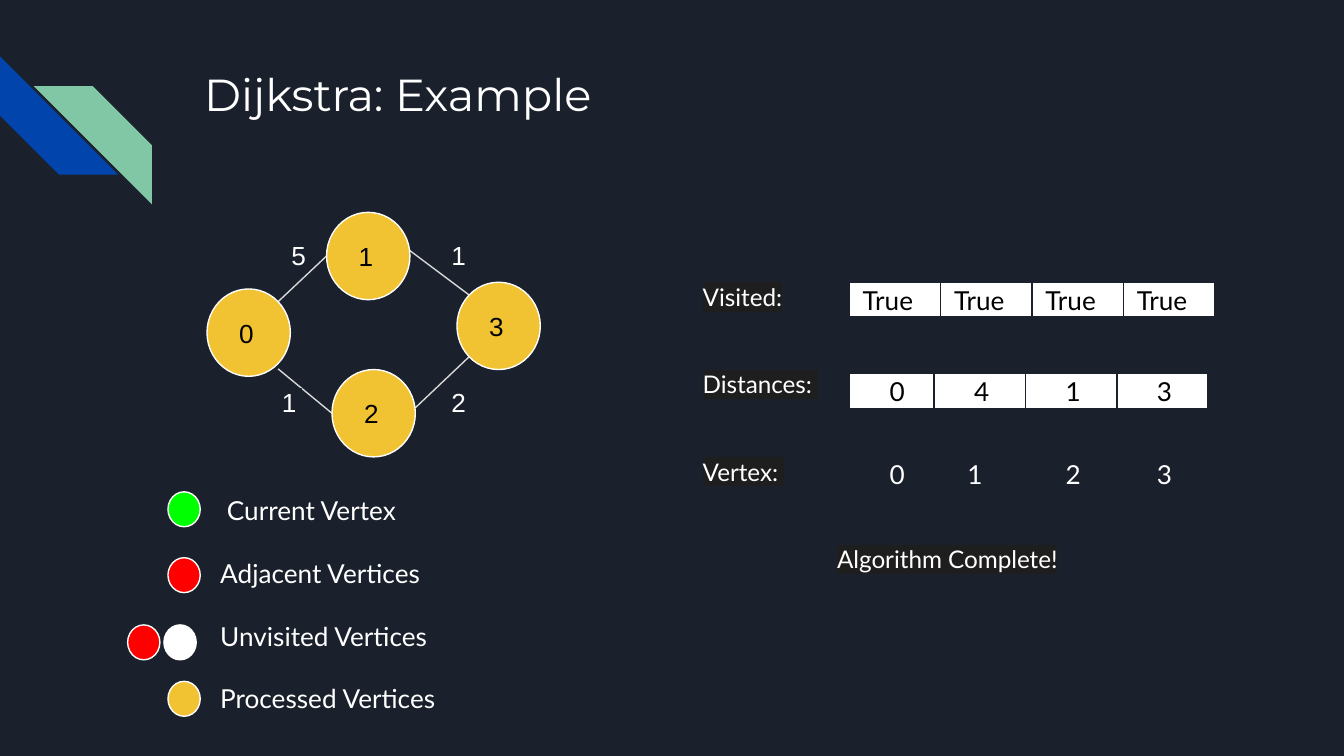
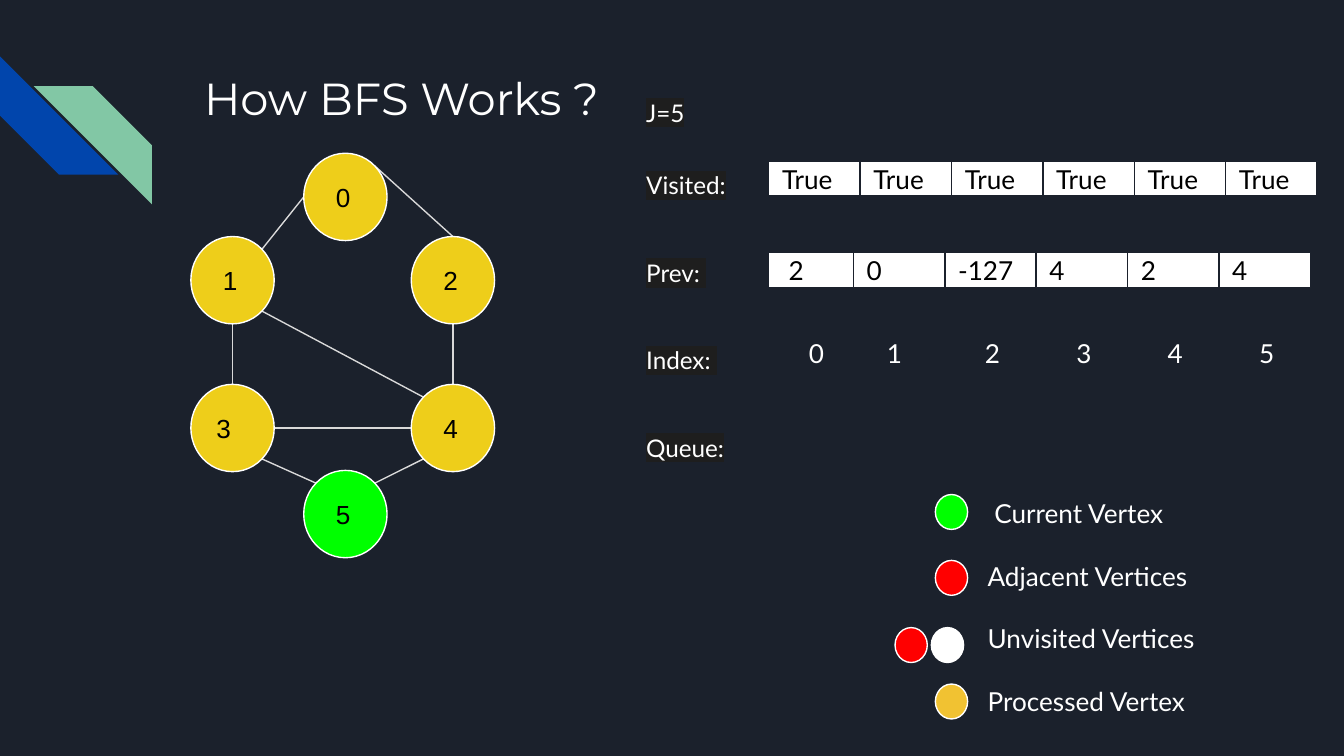
from dataclasses import dataclass

from lxml import etree
from pptx import Presentation
from pptx.dml.color import RGBColor
from pptx.enum.shapes import MSO_CONNECTOR, MSO_SHAPE
from pptx.enum.text import MSO_ANCHOR, PP_ALIGN
from pptx.oxml.ns import qn
from pptx.util import Emu, Pt

OVAL, RECT, STRIPE = MSO_SHAPE.OVAL, MSO_SHAPE.RECTANGLE, MSO_SHAPE.DIAGONAL_STRIPE
STRAIGHT = MSO_CONNECTOR.STRAIGHT
TOP, MIDDLE, LEFT = MSO_ANCHOR.TOP, MSO_ANCHOR.MIDDLE, PP_ALIGN.LEFT

NAVY = RGBColor(0x1B, 0x21, 0x2C)
BLUE = RGBColor(0x01, 0x45, 0xAC)
MINT = RGBColor(0x82, 0xC7, 0xA5)
WHITE = RGBColor(0xFF, 0xFF, 0xFF)
BLACK = RGBColor(0, 0, 0)
GOLD = RGBColor(0xF1, 0xC2, 0x32)
YELLOW = RGBColor(0xEE, 0xCE, 0x1A)
GREEN = RGBColor(0, 0xFF, 0)
RED = RGBColor(0xFF, 0, 0)
GREY = RGBColor(0xD9, 0xD9, 0xD9)
CHARCOAL = RGBColor(0x1E, 0x1E, 0x1E)

EMU_PER_PX = 9144
INSET = 10
LINE_WIDTH = Pt(0.75)
NODE_W, NODE_H = 62, 65
DOT_W, DOT_H = 24, 26
CELL_W, CELL_H = 68, 26
DIAGONAL = 0.5 ** 0.5
SITES = {
    "T": (0, -1), "B": (0, 1), "L": (-1, 0), "R": (1, 0),
    "TL": (-DIAGONAL, -DIAGONAL), "TR": (DIAGONAL, -DIAGONAL),
    "BL": (-DIAGONAL, DIAGONAL), "BR": (DIAGONAL, DIAGONAL),
}
LEGEND_DOTS = ((-24, 8, GREEN), (-24, 57, RED), (-54, 107, RED),
               (-27, 107, WHITE), (-24, 149, GOLD))


@dataclass(frozen=True)
class Node:
    x: int
    y: int
    fill: RGBColor
    indent: int = 5


@dataclass(frozen=True)
class Edge:
    start: int
    start_site: str
    end: int
    end_site: str
    start_dy: int = 0


@dataclass(frozen=True)
class Weight:
    text: str
    x: int
    y: int
    w: int = 24


@dataclass(frozen=True)
class Row:
    y: int
    values: tuple[str, ...]
    indents: tuple[int, ...]
    first_step: int = 63
    fill: RGBColor = WHITE
    color: RGBColor = BLACK


@dataclass(frozen=True)
class Label:
    text: str
    gap: float = 23.4
    indent: int = 0


def px(value: float) -> Emu:
    return Emu(round(value * EMU_PER_PX))


def write(tf, text: str, *, font: str = "Lato", size: float = 14,
          color: RGBColor = WHITE, indent: int = 0, gap: float = 0,
          spacing: float = 1.0, highlight: RGBColor | None = None,
          new: bool = False) -> None:
    p = tf.add_paragraph() if new else tf.paragraphs[0]
    p.alignment = LEFT
    p.line_spacing = spacing
    if gap:
        p.space_before = Pt(gap)
    if indent:
        p._p.get_or_add_pPr().set("marL", str(px(indent)))
    r = p.add_run()
    r.text = text
    r.font.name, r.font.size = font, Pt(size)
    r.font.color.rgb = color
    if highlight is not None:
        mark = etree.Element(qn("a:highlight"))
        etree.SubElement(mark, qn("a:srgbClr")).set("val", str(highlight))
        r._r.rPr.find(qn("a:solidFill")).addnext(mark)


def set_frame(tf, anchor: MSO_ANCHOR, top: int = INSET) -> None:
    tf.word_wrap = True
    tf.vertical_anchor = anchor
    tf.margin_left = tf.margin_right = tf.margin_bottom = px(INSET)
    tf.margin_top = px(top)


def add_box(s, x: int, y: int, w: int, h: int, top: int = INSET):
    tf = s.shapes.add_textbox(px(x), px(y), px(w), px(h)).text_frame
    set_frame(tf, TOP, top)
    return tf


def add_shape(s, kind: MSO_SHAPE, x: int, y: int, w: int, h: int,
              fill: RGBColor | None, line: RGBColor | None = None):
    sp = s.shapes.add_shape(kind, px(x), px(y), px(w), px(h))
    sp.shadow.inherit = False
    if fill is None:
        sp.fill.background()
    else:
        sp.fill.solid()
        sp.fill.fore_color.rgb = fill
    if line is None:
        sp.line.fill.background()
    else:
        sp.line.color.rgb = line
        sp.line.width = LINE_WIDTH
    set_frame(sp.text_frame, MIDDLE)
    return sp


def add_slide(prs, title: str, title_y: int):
    s = prs.slides.add_slide(prs.slide_layouts[6])
    s.background.fill.solid()
    s.background.fill.fore_color.rgb = NAVY
    add_shape(s, STRIPE, 0, 42, 88, 88, BLUE).rotation = 270
    mint = add_shape(s, STRIPE, 25, 64, 88, 88, MINT)
    mint._element.spPr.xfrm.set("flipH", "1")
    write(add_box(s, 142, title_y, 770, 100), title, font="Montserrat", size=24)
    return s


def site_point(node: Node, site: str) -> tuple[float, float]:
    dx, dy = SITES[site]
    return node.x + NODE_W / 2 * (1 + dx), node.y + NODE_H / 2 * (1 + dy)


def add_graph(s, nodes: list[Node], edges: list[Edge]) -> None:
    for edge in edges:
        x1, y1 = site_point(nodes[edge.start], edge.start_site)
        x2, y2 = site_point(nodes[edge.end], edge.end_site)
        line = s.shapes.add_connector(
            STRAIGHT, px(x1), px(y1 + edge.start_dy), px(x2), px(y2))
        line.line.color.rgb = GREY
        line.line.width = LINE_WIDTH
        etree.SubElement(line._element.spPr, qn("a:effectLst"))
    for number, node in enumerate(nodes):
        sp = add_shape(s, OVAL, node.x, node.y, NODE_W, NODE_H, node.fill, WHITE)
        write(sp.text_frame, str(number), font="Arial", color=BLACK,
              indent=node.indent)


def add_weights(s, weights: list[Weight]) -> None:
    for weight in weights:
        sp = add_shape(s, RECT, weight.x, weight.y, weight.w, 20, None, NAVY)
        write(sp.text_frame, weight.text, font="Arial")


def add_legend(s, x: int, y: int, processed: str) -> None:
    tf = add_box(s, x, y, 236, 185)
    write(tf, "Current Vertex", indent=10)
    for text in ("Adjacent Vertices", "Unvisited Vertices", processed):
        write(tf, text, indent=5, gap=16.8, new=True)
    for dx, dy, fill in LEGEND_DOTS:
        add_shape(s, OVAL, x + dx, y + dy, DOT_W, DOT_H, fill, WHITE)


def add_rows(s, x: int, rows: list[Row]) -> None:
    for row in rows:
        for i, (value, indent) in enumerate(zip(row.values, row.indents)):
            left = x + (row.first_step + CELL_W * (i - 1) if i else 0)
            sp = add_shape(s, RECT, left, row.y, CELL_W, CELL_H, row.fill, NAVY)
            write(sp.text_frame, value, color=row.color, indent=indent)


def add_labels(tf, labels: list[Label]) -> None:
    for i, label in enumerate(labels):
        write(tf, label.text, size=13, spacing=1.5, highlight=CHARCOAL,
              indent=label.indent, gap=label.gap, new=i > 0)


def build_dijkstra(prs) -> None:
    s = add_slide(prs, "Dijkstra: Example", 40)
    nodes = [Node(154, 215, GOLD), Node(243, 158, GOLD),
             Node(247, 275, GOLD), Node(340, 210, GOLD)]
    edges = [Edge(0, "TR", 1, "L"), Edge(1, "R", 3, "TL", -4),
             Edge(2, "R", 3, "BL", -4), Edge(0, "BR", 2, "L", 4)]
    add_graph(s, nodes, edges)
    add_weights(s, [Weight("5", 207, 180, 21), Weight("1", 326, 180),
                    Weight("1", 200, 289), Weight("2", 326, 289)])
    add_legend(s, 149, 358, "Processed Vertices")
    add_labels(add_box(s, 513, 135, 399, 338, top=64), [
        Label("Visited:", 0), Label("Distances: "), Label("Vertex: "),
        Label("Algorithm Complete!", indent=100)])
    add_rows(s, 632, [
        Row(210, ("True",) * 4, (0,) * 4, first_step=CELL_W),
        Row(278, ("0", "4", "1", "3"), (20,) * 4),
        Row(340, ("0", "1", "2", "3"), (20, 15, 20, 20), fill=NAVY, color=WHITE)])


def build_bfs(prs) -> None:
    s = add_slide(prs, "How BFS Works ?", 43)
    nodes = [Node(226, 114, YELLOW), Node(142, 176, YELLOW),
             Node(306, 176, YELLOW), Node(142, 286, YELLOW, 0),
             Node(306, 286, YELLOW), Node(226, 350, GREEN)]
    edges = [Edge(0, "TR", 2, "T"), Edge(1, "TR", 0, "L"),
             Edge(3, "T", 1, "B"), Edge(3, "BR", 5, "TL"),
             Edge(5, "TR", 4, "BL"), Edge(4, "T", 2, "B"),
             Edge(4, "TL", 1, "BR"), Edge(3, "R", 4, "L")]
    add_graph(s, nodes, edges)
    add_legend(s, 720, 360, "Processed Vertex")
    add_rows(s, 572, [
        Row(120, ("True",) * 6, (0,) * 6, first_step=CELL_W),
        Row(188, ("2", "0", "-127", "4", "2", "4"), (5, 0, 0, 0, 0, 0)),
        Row(250, ("0", "1", "2", "3", "4", "5"), (20, 15, 20, 20, 20, 20),
            fill=NAVY, color=WHITE)])
    add_labels(add_box(s, 471, 52, 88, 305), [
        Label("J=5", 0), Label("Visited:", 15.6), Label("Prev: "),
        Label("Index: "), Label("Queue:")])


def main() -> None:
    prs = Presentation()
    prs.slide_width = px(1000)
    prs.slide_height = Emu(prs.slide_width * 9 // 16)
    build_dijkstra(prs)
    build_bfs(prs)
    prs.save("out.pptx")


if __name__ == "__main__":
    main()
